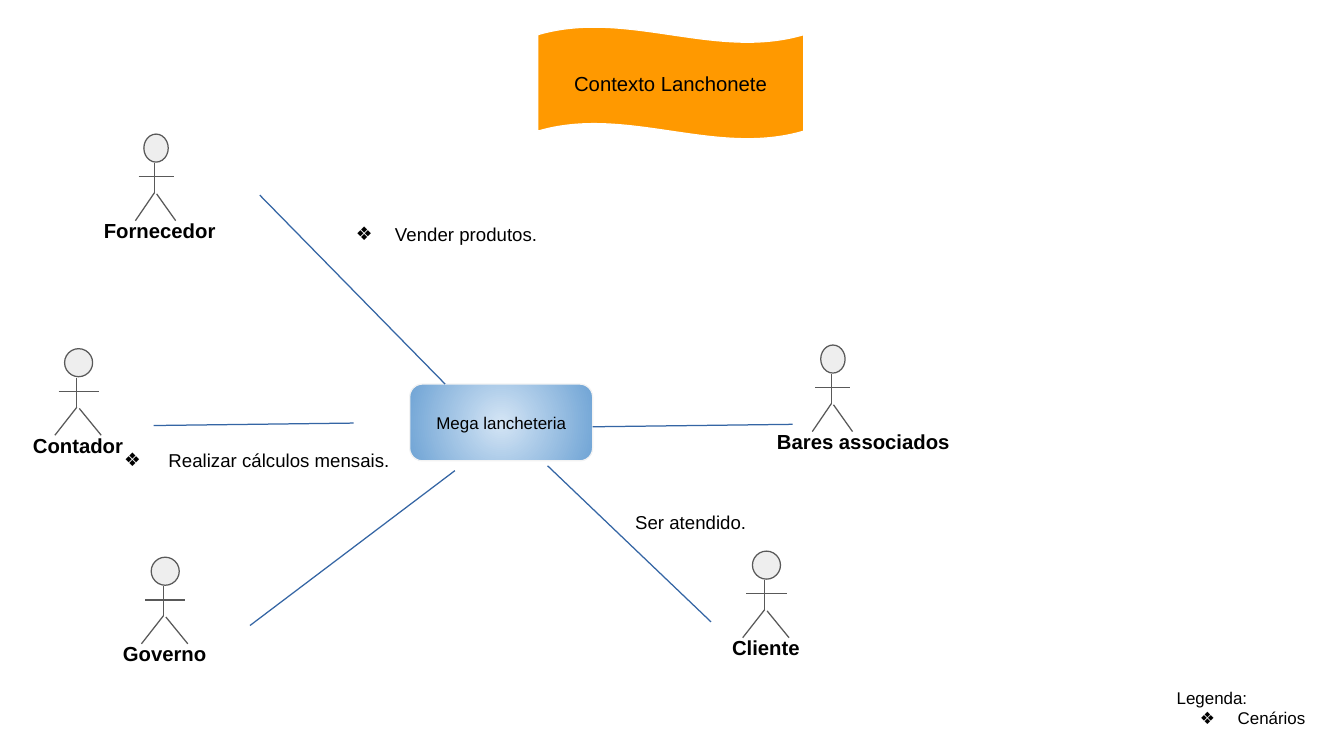
"""Builds a context diagram of a snack bar and its actors."""
from dataclasses import dataclass

from lxml import etree
from pptx import Presentation
from pptx.dml.color import RGBColor
from pptx.enum.shapes import MSO_CONNECTOR, MSO_SHAPE
from pptx.enum.text import MSO_ANCHOR, MSO_AUTO_SIZE, PP_ALIGN
from pptx.oxml.ns import qn
from pptx.util import Inches, Pt

STRAIGHT = MSO_CONNECTOR.STRAIGHT
WAVE, ROUNDED, HEAD = MSO_SHAPE.WAVE, MSO_SHAPE.ROUNDED_RECTANGLE, MSO_SHAPE.FLOWCHART_CONNECTOR
TOP, MIDDLE = MSO_ANCHOR.TOP, MSO_ANCHOR.MIDDLE
LEFT, CENTER = PP_ALIGN.LEFT, PP_ALIGN.CENTER
NO_AUTOFIT = MSO_AUTO_SIZE.NONE


@dataclass(frozen=True)
class Theme:
    font: str = "Arial"
    heading: int = 12
    note: int = 11
    small: int = 10
    line: float = 0.74
    text: str = "000000"
    banner: str = "FF9900"
    banner_edge: str = "FFFFFF"
    system: tuple = ("D4E5F5", "70A4D5")
    system_edge: str = "F3F3F3"
    head: str = "EEEEEE"
    figure: str = "595959"
    link: str = "3465A4"


THEME = Theme()
BULLET = "❖"
TITLE = ("Contexto Lanchonete", (4.41, 0.22, 2.18, 0.92))
SYSTEM = ("Mega lancheteria", (3.36, 3.15, 1.5, 0.63))
ACTORS = [
    {"name": "Contador", "head": (0.53, 2.86, 0.23), "label": (0.64, 1.22)},
    {"name": "Fornecedor", "head": (1.18, 1.1, 0.2), "label": (1.31, 1.61)},
    {"name": "Governo", "head": (1.24, 4.57, 0.23), "label": (1.35, 1.22)},
    {"name": "Bares associados", "head": (6.73, 2.83, 0.2), "label": (7.08, 2.03)},
    {"name": "Cliente", "head": (6.17, 4.52, 0.23), "label": (6.28, 1.22)},
]
HEAD_HEIGHT, LABEL_DROP, LABEL_HEIGHT = 0.23, 0.59, 0.41
LIMBS = [
    (0.1, 0.24, 0.1, 0.48),
    (-0.05, 0.35, 0.28, 0.35),
    (0.1, 0.48, -0.08, 0.71),
    (0.12, 0.49, 0.3, 0.71),
]
LINKS = [
    (2.13, 1.6, 3.65, 3.15),
    (2.05, 5.13, 3.73, 3.86),
    (1.26, 3.49, 2.9, 3.47),
    (4.86, 3.5, 6.5, 3.48),
    (5.83, 5.1, 4.49, 3.82),
]
NOTES = [
    {"box": (2.64, 1.73, 3.65, 1.34), "size": THEME.note, "lines": [("Vender produtos.", 0.32)]},
    {"box": (0.74, 3.58, 3.65, 0.99), "size": THEME.note,
     "lines": [(" Realizar cálculos mensais.", 0.32)]},
    {"box": (9.55, 5.54, 1.39, 0.57), "size": THEME.small,
     "lines": [("Legenda:", 0), ("Cenários", 0.31)]},
    {"box": (5.11, 4.14, 1.11, 0.61), "size": THEME.note, "lines": [("Ser atendido.", 0)],
     "padding": 0.05},
]


def color(value):
    """Return a colour from its hexadecimal text."""
    return RGBColor.from_string(value)


def lengths(values):
    """Convert numbers to inches."""
    return [Inches(value) for value in values]


def apply(target, values):
    """Set attributes from a dict."""
    for name, value in values.items():
        setattr(target, name, value)


def add_bullet(paragraph, hanging):
    """Give a paragraph a diamond bullet and a hanging indent."""
    properties = paragraph._p.get_or_add_pPr()
    properties.set("marL", str(Inches(0.5)))
    properties.set("indent", str(-Inches(hanging)))
    etree.SubElement(properties, qn("a:buFont"), typeface=THEME.font)
    etree.SubElement(properties, qn("a:buChar"), char=BULLET)


def write(shape, lines, size, align=LEFT, anchor=TOP, bold=False, padding=0.1):
    """Fill a shape with formatted lines of text and bullet hang."""
    frame = shape.text_frame
    frame.text = "\n".join(text for text, hanging in lines)
    apply(frame, {
        "word_wrap": True, "auto_size": NO_AUTOFIT, "vertical_anchor": anchor,
        "margin_left": Inches(0.1), "margin_right": Inches(0.1),
        "margin_top": Inches(padding), "margin_bottom": Inches(padding),
    })
    for paragraph, (text, hanging) in zip(frame.paragraphs, lines):
        paragraph.alignment = align
        apply(paragraph.font, {"name": THEME.font, "size": Pt(size), "bold": bold})
        paragraph.font.color.rgb = color(THEME.text)
        for run in paragraph.runs:
            apply(run.font, {"name": THEME.font, "size": Pt(size), "bold": bold})
            run.font.color.rgb = color(THEME.text)
        if hanging:
            add_bullet(paragraph, hanging)


def add_outlined(shapes, kind, box, fill, edge):
    """Add a flat preset shape with a solid fill and thin outline."""
    shape = shapes.add_shape(kind, *lengths(box))
    shape.shadow.inherit = False
    shape.fill.solid()
    shape.fill.fore_color.rgb = color(fill)
    shape.line.color.rgb = color(edge)
    shape.line.width = Pt(THEME.line)
    return shape


def add_line(shapes, ends, stroke):
    """Add a thin straight connector."""
    connector = shapes.add_connector(STRAIGHT, *lengths(ends))
    connector.line.color.rgb = color(stroke)
    connector.line.width = Pt(THEME.line)
    etree.SubElement(connector._element.spPr, qn("a:effectLst"))


def add_radial_fill(shape, stops):
    """Fill a shape from its centre outwards."""
    shape.fill.gradient()
    for stop, value in zip(shape.fill.gradient_stops, stops):
        stop.color.rgb = color(value)
    gradient = shape._element.spPr.find(qn("a:gradFill"))
    gradient.remove(gradient.find(qn("a:lin")))
    circle = etree.SubElement(gradient, qn("a:path"), path="circle")
    etree.SubElement(circle, qn("a:fillToRect"), dict.fromkeys("ltrb", "50000"))


def add_actor(slide, name, head, label):
    """Add a grouped stick figure with its name below."""
    left, top, width = head
    center, label_width = label
    scale = width / HEAD_HEIGHT
    shapes = slide.shapes.add_group_shape().shapes
    add_outlined(shapes, HEAD, (left, top, width, HEAD_HEIGHT), THEME.head, THEME.figure)
    for x1, y1, x2, y2 in LIMBS:
        ends = (left + x1 * scale, top + y1, left + x2 * scale, top + y2)
        add_line(shapes, ends, THEME.figure)
    box = (center - label_width / 2, top + LABEL_DROP, label_width, LABEL_HEIGHT)
    write(shapes.add_textbox(*lengths(box)), [(name, 0)], THEME.heading, CENTER, bold=True)


presentation = Presentation()
apply(presentation, {"slide_width": Inches(11.02), "slide_height": Inches(6.2)})
slide = presentation.slides.add_slide(presentation.slide_layouts[5])

title_text, title_box = TITLE
banner = add_outlined(slide.shapes, WAVE, title_box, THEME.banner, THEME.banner_edge)
banner.adjustments[0] = 0.07
title = slide.shapes.title
apply(title, dict(zip(("left", "top", "width", "height"), lengths(title_box))))
write(title, [(title_text, 0)], THEME.heading, CENTER, MIDDLE)
banner._element.addnext(title._element)

system_text, system_box = SYSTEM
system = add_outlined(slide.shapes, ROUNDED, system_box, THEME.system[0], THEME.system_edge)
add_radial_fill(system, THEME.system)
write(system, [(system_text, 0)], THEME.small, CENTER, MIDDLE)

for actor in ACTORS:
    add_actor(slide, **actor)
for link in LINKS:
    add_line(slide.shapes, link, THEME.link)
for note in NOTES:
    textbox = slide.shapes.add_textbox(*lengths(note["box"]))
    write(textbox, note["lines"], note["size"], padding=note.get("padding", 0.1))

presentation.save("out.pptx")
